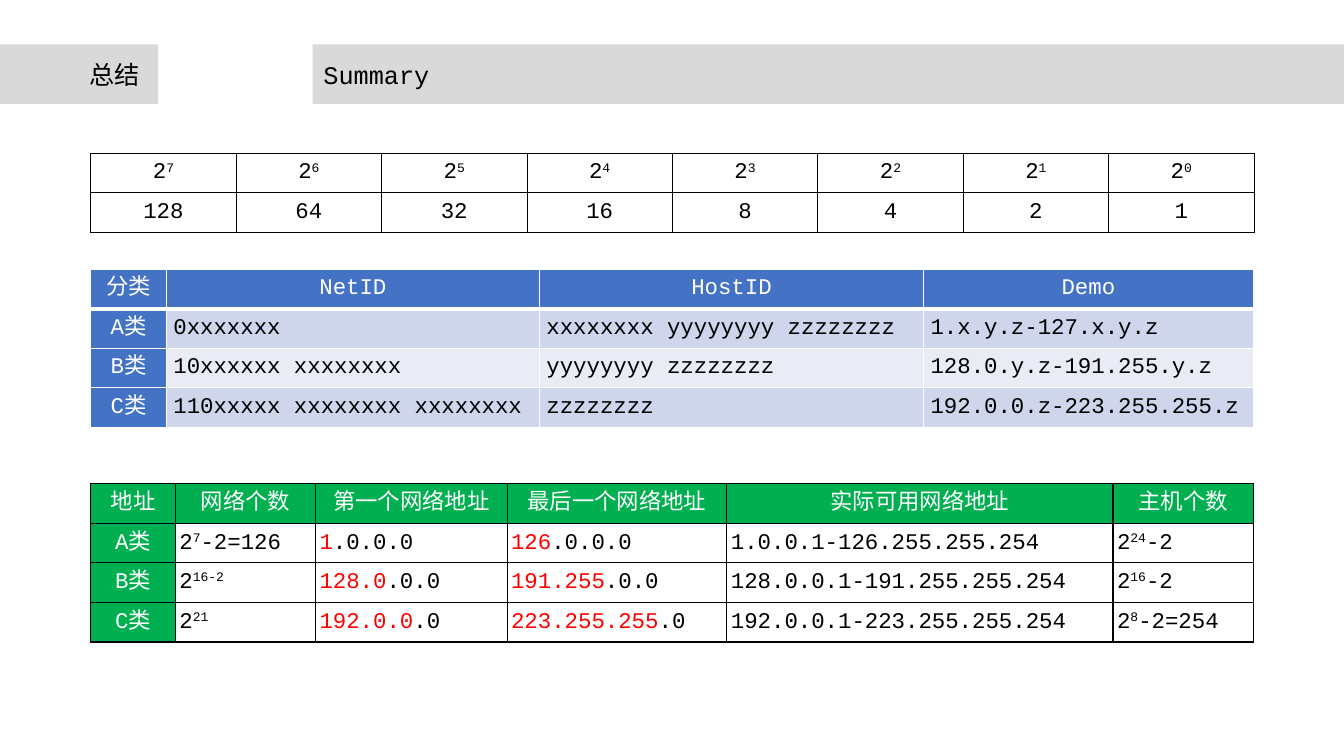
from lxml import etree
from pptx import Presentation
from pptx.dml.color import RGBColor
from pptx.enum.shapes import MSO_SHAPE
from pptx.enum.text import MSO_ANCHOR, MSO_AUTO_SIZE, PP_ALIGN
from pptx.oxml.ns import qn
from pptx.util import Inches, Pt

RECT = MSO_SHAPE.RECTANGLE
TOP, MIDDLE = MSO_ANCHOR.TOP, MSO_ANCHOR.MIDDLE
LEFT, CENTER = PP_ALIGN.LEFT, PP_ALIGN.CENTER
NO_FIT = MSO_AUTO_SIZE.NONE

COLORS = {"bar": "D9D9D9", "black": "000000", "white": "FFFFFF", "red": "FF0000",
          "blue": "4472C4", "odd": "CFD5EA", "even": "E9EBF5", "green": "00B050"}
MONO, SANS = "Courier New", "Noto Sans CJK SC"

TITLE, LABEL = "总结", "Summary"
BARS = [(0, 1.57), (3.1, 10.24)]  # left, width

# A cell is a string or a tuple of runs: "^" marks superscript, "!" marks red.
POWERS = [
    [("2", f"^{n}") for n in range(7, -1, -1)],
    [str(2 ** n) for n in range(7, -1, -1)],
]
CLASSES = [
    ["分类", "NetID", "HostID", "Demo"],
    ["A类", "0xxxxxxx", "xxxxxxxx yyyyyyyy zzzzzzzz", "1.x.y.z-127.x.y.z"],
    ["B类", "10xxxxxx xxxxxxxx", "yyyyyyyy zzzzzzzz", "128.0.y.z-191.255.y.z"],
    ["C类", "110xxxxx xxxxxxxx xxxxxxxx", "zzzzzzzz", "192.0.0.z-223.255.255.z"],
]
RANGES = [
    ["地址", "网络个数", "第一个网络地址", "最后一个网络地址", "实际可用网络地址", "主机个数"],
    ["A类", ("2", "^7", "-2=126"), ("!1", ".0.0.0"), ("!126", ".0.0.0"),
     "1.0.0.1-126.255.255.254", ("2", "^24", "-2")],
    ["B类", ("2", "^16-2"), ("!128.0", ".0.0"), ("!191.255", ".0.0"),
     "128.0.0.1-191.255.255.254", ("2", "^16", "-2")],
    ["C类", ("2", "^21"), ("!192.0.0", ".0"), ("!223.255.255", ".0"),
     "192.0.0.1-223.255.255.254", ("2", "^8", "-2=254")],
]
TABLES = [
    {"rows": RANGES, "top": 4.8, "cols": [0.84, 1.39, 1.9, 2.18, 3.83, 1.39],
     "pad": (0.04, 0.04), "line": ("black", 1), "rule": 1,
     "head": "green", "bands": None},
    {"rows": CLASSES, "top": 2.67, "cols": [0.75, 3.7, 3.81, 3.27],
     "pad": (0.07, 0), "line": ("white", 1), "rule": 3,
     "head": "blue", "bands": ("even", "odd")},
    {"rows": POWERS, "top": 1.52, "cols": [11.54 / 8] * 8,
     "pad": (0.1, 0.05), "line": ("black", 0.5), "rule": 0.5,
     "head": None, "bands": None},
]
TABLE_LEFT, ROW_HEIGHT = 0.9, 1.57 / 4


def color(name):
    return RGBColor.from_string(COLORS[name])


def set_font(para, size, face, name):
    font = para.font
    font.size, font.name, font.bold = Pt(size), face, False
    font.color.rgb = color(name)
    latin = para._p.pPr.find(qn("a:defRPr")).find(qn("a:latin"))
    asian = etree.Element(qn("a:ea"), typeface=face)
    latin.addnext(asian)


def add_runs(para, cell):
    for part in (cell,) if isinstance(cell, str) else cell:
        run = para.add_run()
        run.text = part.lstrip("^!")
        if part.startswith("^"):
            run.font._element.set("baseline", "30000")
        elif part.startswith("!"):
            run.font.color.rgb = color("red")


def add_border(cell, side, name, width):
    props = cell._tc.get_or_add_tcPr()
    line = etree.SubElement(props, qn("a:ln" + side), w=str(Pt(width)))
    fill = etree.SubElement(line, qn("a:solidFill"))
    etree.SubElement(fill, qn("a:srgbClr"), val=COLORS[name])


def style_cell(cell, part, row, col, info):
    """Fill one cell and set its text, borders and insets."""
    head = info["head"]
    label = head and (row == 0 or col == 0)
    name, width = info["line"]
    for side in "LRTB":
        rule = (side, row) in (("B", 0), ("T", 1))
        add_border(cell, side, name, info["rule"] if rule else width)
    shade = head if label else info["bands"] and info["bands"][row % 2]
    if shade:
        cell.fill.solid()
        cell.fill.fore_color.rgb = color(shade)
    else:
        cell.fill.background()
    cell.vertical_anchor = MIDDLE
    across, down = (Inches(x) for x in info["pad"])
    cell.margin_left = cell.margin_right = across
    cell.margin_top = cell.margin_bottom = down
    para = cell.text_frame.paragraphs[0]
    para.alignment = CENTER if label or not head else LEFT
    add_runs(para, part)
    set_font(para, 16, MONO, "white" if label else "black")
    for run in para.runs:
        font = run.font
        font.size, font.name = Pt(16), MONO
        if font.color.type is None:
            font.color.rgb = color("white" if label else "black")


def add_grid(slide, info):
    rows, cols = info["rows"], info["cols"]
    table = slide.shapes.add_table(
        len(rows), len(cols), Inches(TABLE_LEFT), Inches(info["top"]),
        Inches(sum(cols)), Inches(ROW_HEIGHT * len(rows))).table
    table.first_row = table.horz_banding = False
    for col, width in enumerate(cols):
        table.columns[col].width = Inches(width)
    for row, parts in enumerate(rows):
        table.rows[row].height = Inches(ROW_HEIGHT)
        for col, part in enumerate(parts):
            style_cell(table.cell(row, col), part, row, col, info)


def set_label(shape, text, face):
    frame = shape.text_frame
    frame.text = text
    frame.word_wrap, frame.auto_size = False, NO_FIT
    frame.vertical_anchor = TOP
    para = frame.paragraphs[0]
    para.alignment = LEFT
    set_font(para, 18, face, "black")
    font = para.runs[0].font
    font.size, font.name = Pt(18), face
    font.color.rgb = color("black")


def main():
    deck = Presentation()
    deck.slide_width, deck.slide_height = Inches(13.33), Inches(7.5)
    slide = deck.slides.add_slide(deck.slide_layouts[5])
    for left, width in BARS:
        bar = slide.shapes.add_shape(
            RECT, Inches(left), Inches(0.44), Inches(width), Inches(0.59))
        bar.shadow.inherit = False
        bar.fill.solid()
        bar.fill.fore_color.rgb = color("bar")
        bar.line.fill.background()

    title = slide.shapes.title
    title.left, title.top = Inches(0.79), Inches(0.54)
    title.width, title.height = Inches(0.71), Inches(0.4)
    set_label(title, TITLE, SANS)
    bar._element.addnext(title._element)  # bring the title in front of the bars
    label = slide.shapes.add_textbox(
        Inches(3.11), Inches(0.54), Inches(1.26), Inches(0.4))
    set_label(label, LABEL, MONO)

    for info in TABLES:
        add_grid(slide, info)
    deck.save("out.pptx")


if __name__ == "__main__":
    main()
